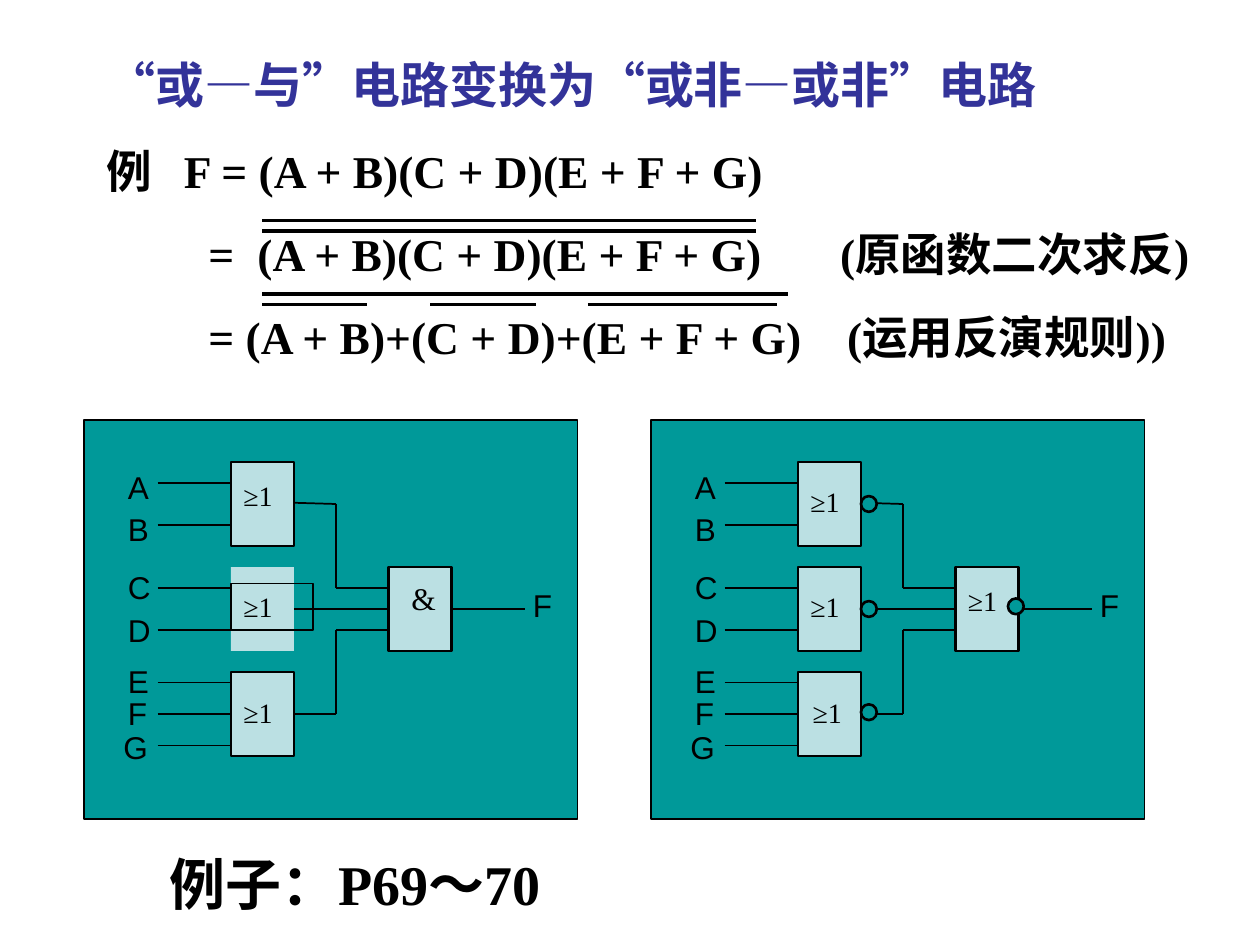
from lxml.etree import SubElement
from pptx import Presentation
from pptx.dml.color import RGBColor
from pptx.enum.shapes import MSO_CONNECTOR as Connector, MSO_SHAPE as Preset
from pptx.enum.text import MSO_ANCHOR as Anchor
from pptx.oxml.ns import qn
from pptx.util import Pt

BLACK = RGBColor(0x00, 0x00, 0x00)
INDIGO = RGBColor(0x33, 0x33, 0x99)
TEAL = RGBColor(0x00, 0x99, 0x99)
PALE = RGBColor(0xBB, 0xE0, 0xE3)
SERIF, SANS = "Times New Roman", "Arial"


class CircuitSlide:
    """Draws text, boxes and wires on one slide, in points, shifted by dx."""

    def __init__(self, slide):
        self.slide = slide
        self.dx = 0

    def text(self, x, y, width, height, lines, size, font=SERIF, color=BLACK, bold=False,
             before=0, spacing=None, tabs=(), anchor=Anchor.TOP, wrap=True):
        box = self.slide.shapes.add_textbox(Pt(x + self.dx), Pt(y), Pt(width), Pt(height))
        frame = box.text_frame
        frame.word_wrap = wrap
        frame.vertical_anchor = anchor
        for index, line in enumerate(lines):
            paragraph = frame.add_paragraph() if index else frame.paragraphs[0]
            if index:
                paragraph.space_before = Pt(before)
            if spacing:
                paragraph.line_spacing = spacing
            if tabs:
                stops = SubElement(paragraph._p.get_or_add_pPr(), qn("a:tabLst"))
                for stop in tabs[index]:
                    SubElement(stops, qn("a:tab"), pos=str(Pt(stop)), algn="l")
            run = paragraph.add_run()
            run.text = line
            run.font.name = font
            run.font.size = Pt(size)
            run.font.bold = bold
            run.font.color.rgb = color
        return box

    def box(self, x, y, width, height, fill, weight, preset=Preset.RECTANGLE):
        shape = self.slide.shapes.add_shape(preset, Pt(x + self.dx), Pt(y), Pt(width), Pt(height))
        shape.shadow.inherit = False
        shape.fill.solid()
        shape.fill.fore_color.rgb = fill
        if weight:
            shape.line.color.rgb = BLACK
            shape.line.width = Pt(weight)
        else:
            shape.line.fill.background()

    def wire(self, x1, y1, x2, y2, weight=1):
        line = self.slide.shapes.add_connector(
            Connector.STRAIGHT, Pt(x1 + self.dx), Pt(y1), Pt(x2 + self.dx), Pt(y2))
        line.line.color.rgb = BLACK
        line.line.width = Pt(weight)
        SubElement(line._element.spPr, qn("a:effectLst"))

    def gate(self, x, y, weight=1.5):
        self.box(x, y, 36, 48, PALE, weight)

    def bubble(self, x, y):
        self.box(x, y, 9, 9, TEAL, 1.5, Preset.OVAL)

    def symbol(self, x, y, sign="≥1", size=16):
        return self.text(x, y, 46.8, 26.6, [sign], size)

    def pin(self, x, y, name):
        self.text(x, y, 26, 29, [name], 18, SANS, wrap=False)

    def circuit(self, dx, middle_weight):
        self.dx = dx
        self.box(48, 240, 282, 228, TEAL, 0.75)
        for y, weight in ((264, 1.5), (324, middle_weight), (384, 1.5)):
            self.gate(132, y, weight)
        self.gate(222, 324)
        for name, x, top, y in INPUTS:
            self.pin(x, top, name)
            self.wire(90, y, 132, y)
        self.pin(297.4, 331.2, "F")
        self.wire(168, 287.3, 192, 288)
        self.wire(168, 348, 222, 348)
        self.wire(258, 348, 300, 348)
        self.wire(168, 408, 192, 408, 0.75)
        for outer, inner in ((288, 336), (408, 360)):
            self.wire(192, outer, 192, inner, 0.75)
            self.wire(192, inner, 222, inner)


INPUTS = (
    ("A", 66, 264, 276), ("B", 66, 288, 300),
    ("C", 66, 321, 336), ("D", 66, 345.6, 360),
    ("E", 66, 375, 390), ("F", 66, 393, 408), ("G", 63.4, 412.6, 426),
)
OVERLINES = (
    (150, 432, 126), (150, 432, 132), (150, 450, 168),
    (150, 210, 174), (246, 306, 174), (336, 444, 174),
)
EQUATIONS = (
    "例\tF = (A + B)(C + D)(E + F + G)",
    "\t=\t(A + B)(C + D)(E + F + G)\t(原函数二次求反)",
    "\t= (A + B)+(C + D)+(E + F + G)\t(运用反演规则))",
)
EQUATION_TABS = ((44,), (58, 86, 419), (58, 423))


def main():
    deck = Presentation()
    deck.slide_width, deck.slide_height = Pt(720), Pt(540)
    page = CircuitSlide(deck.slides.add_slide(deck.slide_layouts[6]))

    page.text(54, 18, 612, 60, ["“或—与”电路变换为“或非—或非”电路"], 28,
              color=INDIGO, bold=True, anchor=Anchor.MIDDLE)
    page.text(54, 78, 648, 198, EQUATIONS, 26, bold=True, before=16.2, tabs=EQUATION_TABS)
    for start, end, y in OVERLINES:
        page.wire(start, y, end, y, 2.25)

    page.circuit(0, None)
    for y in (270, 394):
        page.symbol(132, y)
    outlined = page.symbol(132, 333.4)
    outlined.line.color.rgb = BLACK
    outlined.line.width = Pt(0.75)
    page.symbol(228, 327.6, "&", 18)

    page.circuit(324, 1.5)
    for x, y in ((168, 283.5), (168, 343.5), (168, 402.5), (252, 342)):
        page.bubble(x, y)
    for x, y in ((132, 273.6), (132, 333.4), (133.2, 394), (222, 329.8)):
        page.symbol(x, y)

    page.dx = 0
    page.text(90, 486, 354, 42, ["例子：P69～70"], 32, bold=True, spacing=0.9)
    deck.save("out.pptx")


if __name__ == "__main__":
    main()
